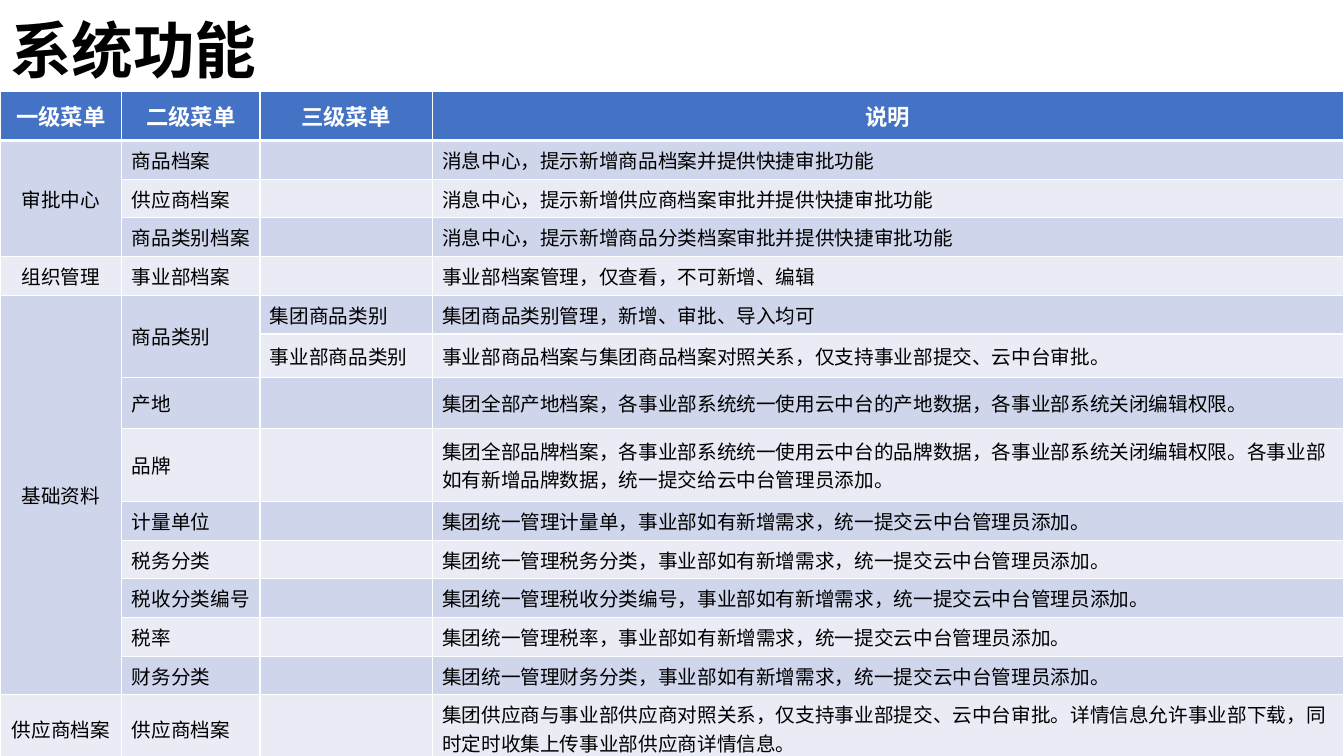
from dataclasses import dataclass

from lxml.etree import SubElement
from pptx import Presentation
from pptx.dml.color import RGBColor
from pptx.enum.text import MSO_ANCHOR as Anchor, PP_ALIGN as Align
from pptx.oxml import parse_xml
from pptx.oxml.ns import nsdecls, qn
from pptx.util import Cm, Pt

FONT = "Noto Sans CJK SC"
HEADER_FILL = "4472C4"
BANDS = ("E9EBF5", "CFD5EA")
COLUMN_WIDTHS = (3.07, 3.48, 4.34, 22.97)
HEADER_HEIGHT = 1.24

TITLE_FORMAT = {"size": Pt(44), "bold": True, "name": FONT}
HEADER_FORMAT = {"size": Pt(16), "bold": True, "name": FONT}
BODY_FORMAT = {"size": Pt(14), "bold": False, "name": FONT}


@dataclass
class MenuRow:
    level1: str
    level2: str
    level3: str
    note: str
    height: float = 0.89


@dataclass
class Merge:
    row: int
    col: int
    rows: int


def unit_note(subject: str) -> str:
    return f"集团统一管理{subject}，事业部如有新增需求，统一提交云中台管理员添加。"


HEADERS = ("一级菜单", "二级菜单", "三级菜单", "说明")
MENU = [
    MenuRow("审批中心", "商品档案", "", "消息中心，提示新增商品档案并提供快捷审批功能"),
    MenuRow("", "供应商档案", "", "消息中心，提示新增供应商档案审批并提供快捷审批功能"),
    MenuRow("", "商品类别档案", "", "消息中心，提示新增商品分类档案审批并提供快捷审批功能"),
    MenuRow("组织管理", "事业部档案", "", "事业部档案管理，仅查看，不可新增、编辑"),
    MenuRow("基础资料", "商品类别", "集团商品类别", "集团商品类别管理，新增、审批、导入均可"),
    MenuRow("", "", "事业部商品类别",
            "事业部商品档案与集团商品档案对照关系，仅支持事业部提交、云中台审批。", 1.09),
    MenuRow("", "产地", "",
            "集团全部产地档案，各事业部系统统一使用云中台的产地数据，各事业部系统关闭编辑权限。", 1.3),
    MenuRow("", "品牌", "",
            "集团全部品牌档案，各事业部系统统一使用云中台的品牌数据，各事业部系统关闭编辑权限。"
            "各事业部如有新增品牌数据，统一提交给云中台管理员添加。", 1.83),
    MenuRow("", "计量单位", "", unit_note("计量单")),
    MenuRow("", "税务分类", "", unit_note("税务分类")),
    MenuRow("", "税收分类编号", "", unit_note("税收分类编号")),
    MenuRow("", "税率", "", unit_note("税率")),
    MenuRow("", "财务分类", "", unit_note("财务分类")),
    MenuRow("供应商档案", "供应商档案", "",
            "集团供应商与事业部供应商对照关系，仅支持事业部提交、云中台审批。"
            "详情信息允许事业部下载，同时定时收集上传事业部供应商详情信息。"),
]
MERGES = [Merge(1, 0, 3), Merge(5, 0, 9), Merge(5, 1, 2)]


def color(value: str) -> RGBColor:
    return RGBColor.from_string(value)


def write(p, text: str, fmt: dict, ink: str, align: Align) -> None:
    p.alignment = align
    if not text:
        SubElement(p._p, qn("a:endParaRPr"), sz=str(int(fmt["size"].pt * 100)))
        return
    r = p.add_run()
    r.text = text
    for key, value in fmt.items():
        setattr(r.font, key, value)
    r.font.color.rgb = color(ink)
    SubElement(r.font._element, qn("a:ea"), typeface=FONT)


def set_borders(cell, widths: dict) -> None:
    tc_pr = cell._tc.get_or_add_tcPr()
    for i, (side, width) in enumerate(widths.items()):
        tc_pr.insert(i, parse_xml(
            f'<a:ln{side} {nsdecls("a")} w="{Pt(width)}"><a:solidFill>'
            f'<a:srgbClr val="FFFFFF"/></a:solidFill></a:ln{side}>'))


def fill_cell(cell, row: int, col: int, text: str) -> None:
    header = row == 0
    cell.fill.solid()
    cell.fill.fore_color.rgb = color(HEADER_FILL if header else BANDS[row % 2])
    cell.vertical_anchor = Anchor.MIDDLE
    write(cell.text_frame.paragraphs[0], text,
          HEADER_FORMAT if header else BODY_FORMAT,
          "FFFFFF" if header else "000000",
          Align.CENTER if header or col == 0 else Align.LEFT)
    set_borders(cell, {"L": 1, "R": 1, "T": 3 if row == 1 else 1, "B": 3 if header else 1})


def add_title(s, text: str) -> None:
    sp = s.shapes.title
    sp.left, sp.top, sp.width, sp.height = Cm(0), Cm(0), Cm(29.21), Cm(2.72)
    tf = sp.text_frame
    tf.vertical_anchor = Anchor.MIDDLE
    p = tf.paragraphs[0]
    p.line_spacing = 0.9
    write(p, text, TITLE_FORMAT, "000000", Align.LEFT)


def add_menu_table(s) -> None:
    heights = [HEADER_HEIGHT] + [m.height for m in MENU]
    rows = [HEADERS] + [(m.level1, m.level2, m.level3, m.note) for m in MENU]
    table = s.shapes.add_table(len(rows), len(HEADERS), Cm(0), Cm(2.3),
                               Cm(sum(COLUMN_WIDTHS)), Cm(sum(heights))).table
    for column, width in zip(table.columns, COLUMN_WIDTHS):
        column.width = Cm(width)
    for i, (texts, height) in enumerate(zip(rows, heights)):
        table.rows[i].height = Cm(height)
        for j, text in enumerate(texts):
            fill_cell(table.cell(i, j), i, j, text)
    for m in MERGES:
        table.cell(m.row, m.col).merge(table.cell(m.row + m.rows - 1, m.col))


def main() -> None:
    prs = Presentation()
    prs.slide_width, prs.slide_height = Cm(33.87), Cm(19.05)
    s = prs.slides.add_slide(prs.slide_layouts[5])
    add_title(s, "系统功能")
    add_menu_table(s)
    prs.save("out.pptx")


if __name__ == "__main__":
    main()
